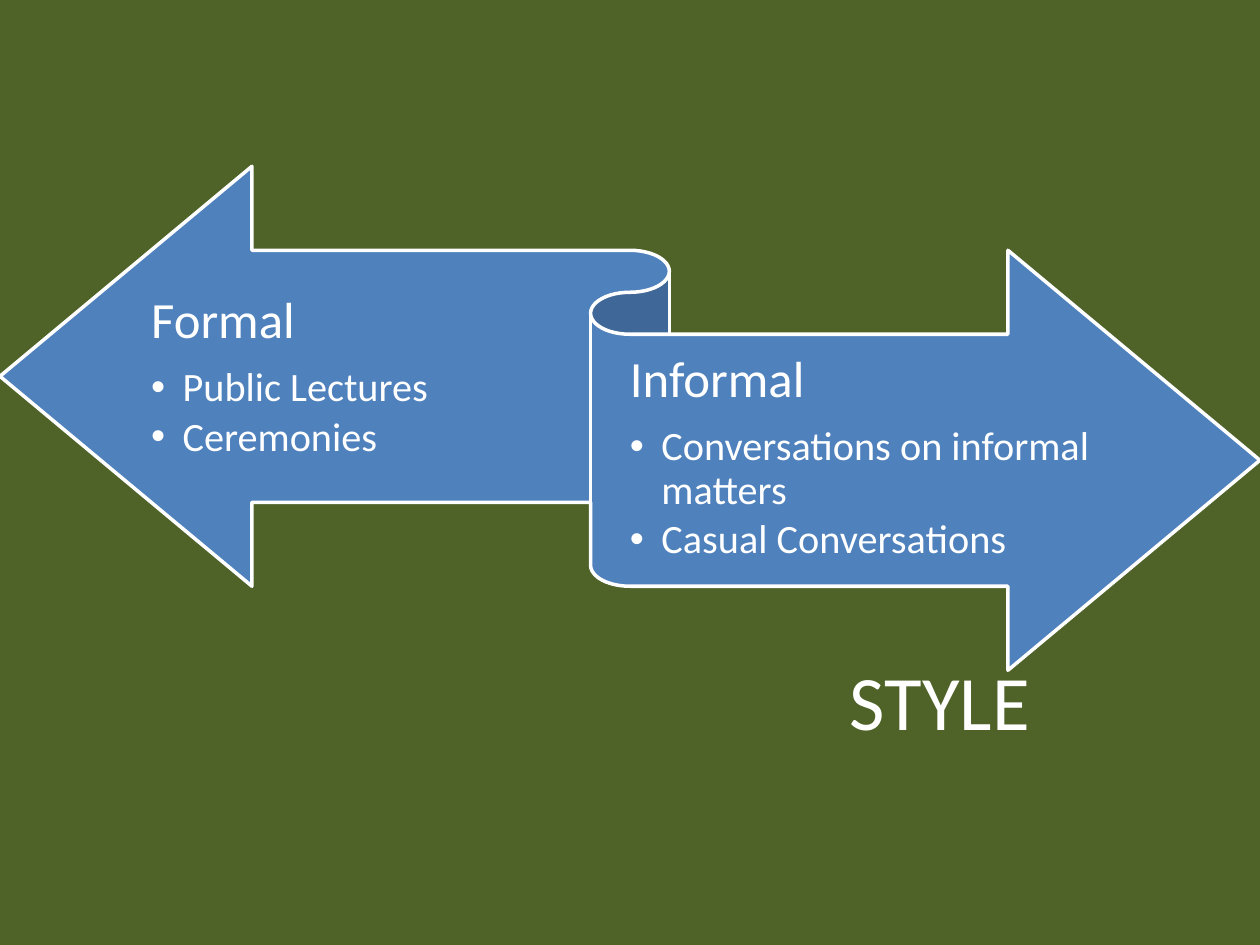
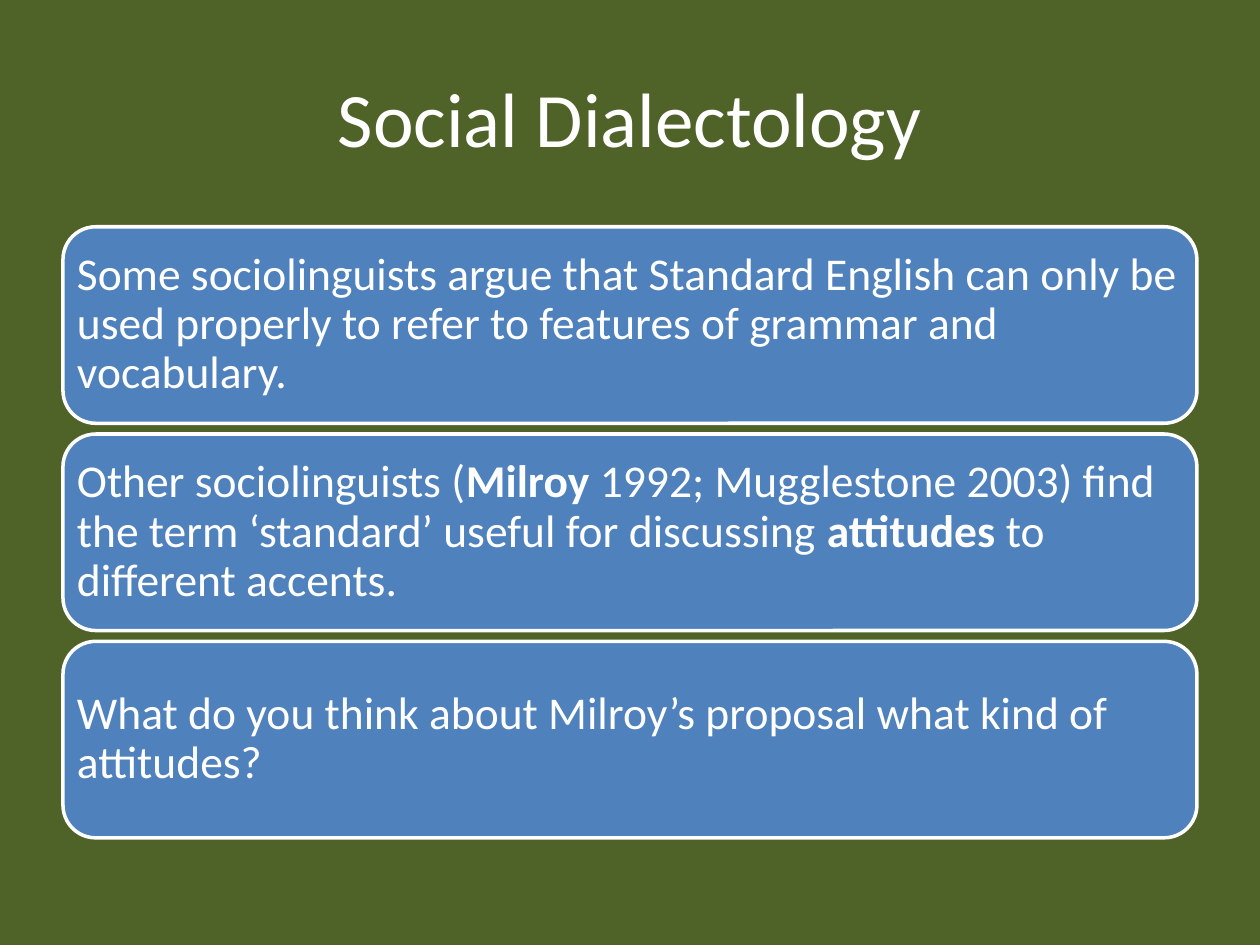
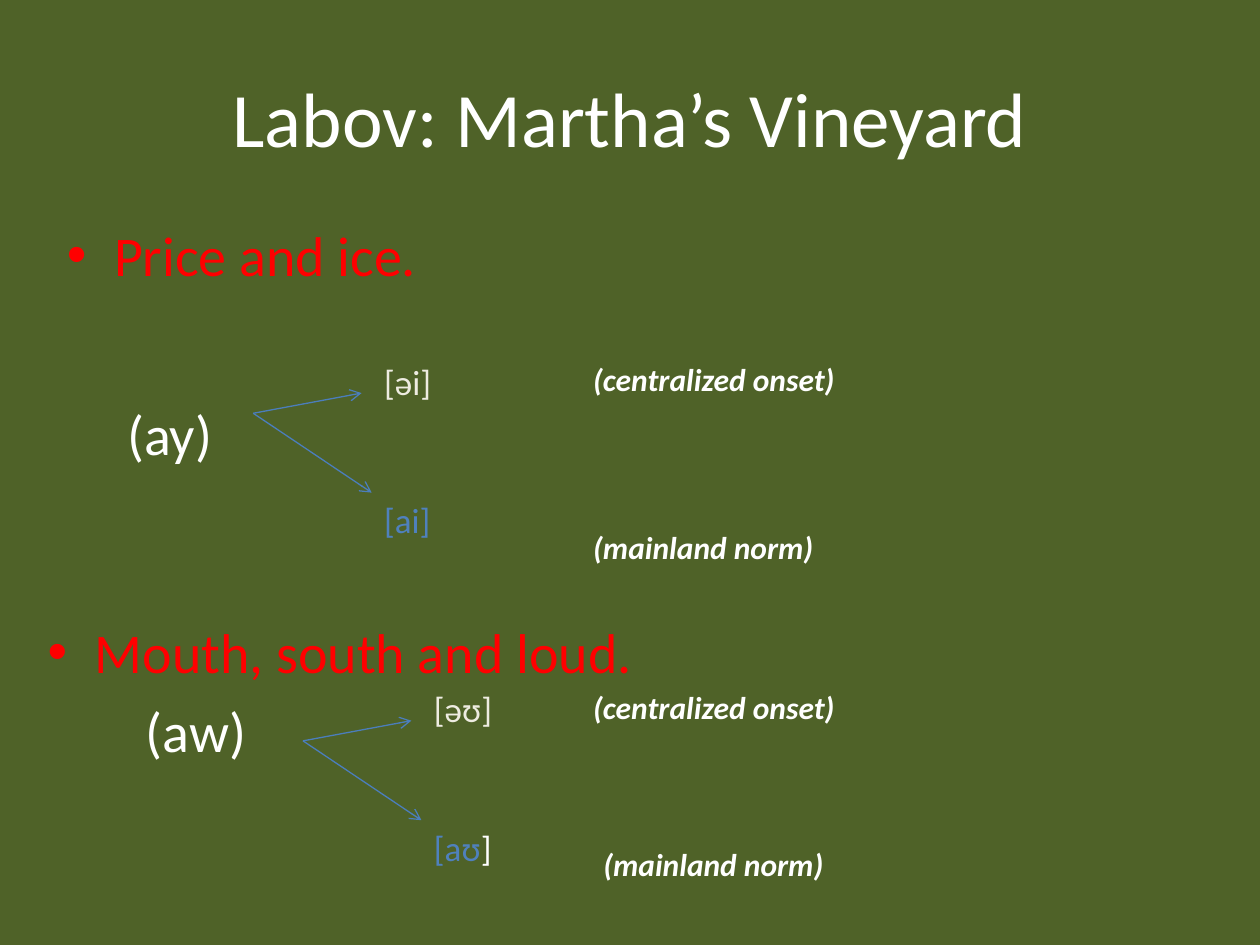
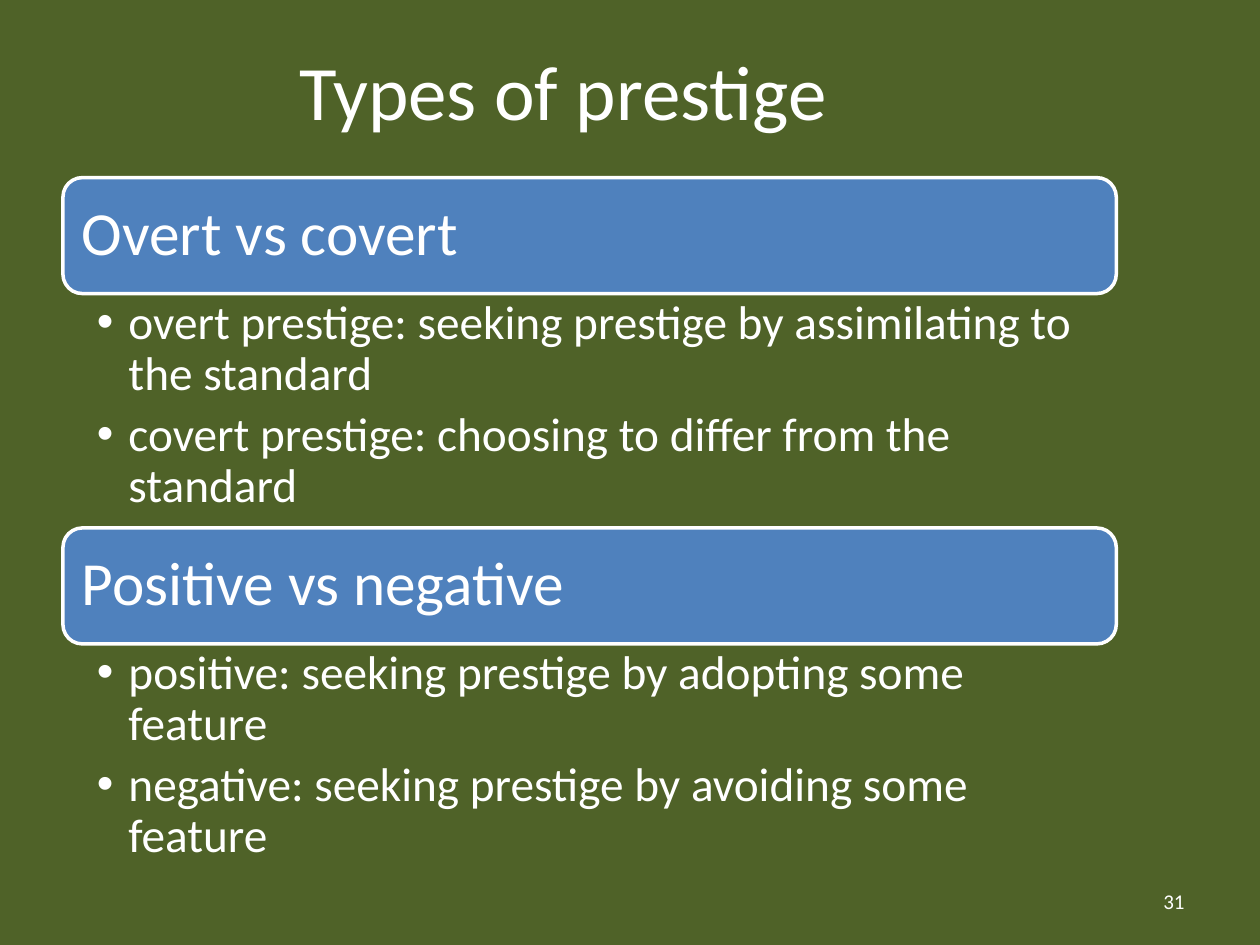
from dataclasses import dataclass
from typing import Sequence

from lxml import etree
from pptx import Presentation
from pptx.dml.color import RGBColor
from pptx.enum.shapes import MSO_CONNECTOR, MSO_SHAPE
from pptx.enum.text import MSO_ANCHOR, PP_ALIGN
from pptx.oxml.ns import qn
from pptx.util import Inches, Pt

# Shared colours, font and enum members
OLIVE = RGBColor(0x4F, 0x62, 0x28)
BLUE = RGBColor(0x4F, 0x81, 0xBD)
ARROW_BLUE = RGBColor(0x4B, 0x7E, 0xBC)
WHITE = RGBColor(0xFF, 0xFF, 0xFF)
CREAM = RGBColor(0xEE, 0xEC, 0xE1)
RED = RGBColor(0xFF, 0x00, 0x00)
FONT = "Calibri"

ROUNDED = MSO_SHAPE.ROUNDED_RECTANGLE
RIBBON = MSO_SHAPE.LEFT_RIGHT_RIBBON
STRAIGHT = MSO_CONNECTOR.STRAIGHT
LEFT, CENTER, RIGHT = PP_ALIGN.LEFT, PP_ALIGN.CENTER, PP_ALIGN.RIGHT
TOP, MIDDLE = MSO_ANCHOR.TOP, MSO_ANCHOR.MIDDLE

# The page is a grid of 100 columns by 75 rows
SLIDE_WIDTH, SLIDE_HEIGHT = Inches(10), Inches(7.5)
COLUMN, ROW = SLIDE_WIDTH / 100, SLIDE_HEIGHT / 75
LAYOUT_BODY, LAYOUT_TITLE = 1, 5
# A rounded rectangle insets its text by this share of its height
CORNER_INSET = 0.29 / 6


@dataclass(frozen=True)
class Area:
    left: float
    top: float
    width: float
    height: float

    def emu(self) -> tuple[int, int, int, int]:
        return (round(self.left * COLUMN), round(self.top * ROW),
                round(self.width * COLUMN), round(self.height * ROW))


@dataclass(frozen=True)
class Span:
    text: str
    color: RGBColor = WHITE
    bold: bool = False
    italic: bool = False


@dataclass(frozen=True)
class Style:
    size: float
    align: PP_ALIGN = LEFT
    line: float = 1.0
    before: float = 0  # share of the text size
    after: float = 0  # share of the text size
    hang: float = 0  # bullet indent in columns, 0 for no bullet


@dataclass(frozen=True)
class Topic:
    heading: str
    points: tuple[str, ...]
    area: Area


@dataclass(frozen=True)
class Variable:
    name: str
    name_area: Area
    fork: tuple[float, float]
    high: tuple[Span, ...]
    low: tuple[Span, ...]
    form_width: float
    norm_left: float
    norm_top: float


TITLE = Style(44, CENTER)
TITLE_AREA = Area(5, 3, 90, 12.5)
EXAMPLE = Style(32, before=0.2, hang=3.75)


# Text helpers
def write(para, spans: Sequence[Span], style: Style) -> None:
    para.alignment = style.align
    para.line_spacing = style.line
    para.space_before = Pt(style.size * style.before)
    para.space_after = Pt(style.size * style.after)
    for span in spans:
        run = para.add_run()
        run.text = span.text
        font = run.font
        font.name, font.size = FONT, Pt(style.size)
        font.bold, font.italic = span.bold, span.italic
        font.color.rgb = span.color
    if style.hang:
        add_bullet(para, style.hang)


def add_bullet(para, hang: float) -> None:
    props = para._p.get_or_add_pPr()
    indent = round(hang * COLUMN)
    props.set("marL", str(indent))
    props.set("indent", str(-indent))
    etree.SubElement(props, qn("a:buFont")).set("typeface", "Arial")
    etree.SubElement(props, qn("a:buChar")).set("char", "•")


def set_frame(frame, insets: Sequence[float], anchor: MSO_ANCHOR, wrap: bool = True) -> None:
    frame.word_wrap, frame.vertical_anchor = wrap, anchor
    left, top, right, bottom = insets
    frame.margin_left, frame.margin_right = round(left * COLUMN), round(right * COLUMN)
    frame.margin_top, frame.margin_bottom = round(top * ROW), round(bottom * ROW)


def add_text(page, area: Area, paras: Sequence[tuple[Sequence[Span], Style]],
             insets: Sequence[float] = (1, 0.5, 1, 0.5),
             anchor: MSO_ANCHOR = TOP, wrap: bool = True) -> None:
    frame = page.shapes.add_textbox(*area.emu()).text_frame
    set_frame(frame, insets, anchor, wrap)
    for index, (spans, style) in enumerate(paras):
        write(frame.paragraphs[0] if index == 0 else frame.add_paragraph(), spans, style)


def place(holder, area: Area) -> None:
    holder.left, holder.top, holder.width, holder.height = area.emu()


# Page and shape helpers
def add_page(deck, title: str, area: Area = TITLE_AREA, layout: int = LAYOUT_TITLE):
    page = deck.slides.add_slide(deck.slide_layouts[layout])
    place(page.shapes.title, area)
    write(page.shapes.title.text_frame.paragraphs[0], [Span(title)], TITLE)
    return page


def add_panel(page, kind: MSO_SHAPE, area: Area):
    panel = page.shapes.add_shape(kind, *area.emu())
    panel.shadow.inherit = False
    panel.fill.solid()
    panel.fill.fore_color.rgb = BLUE
    panel.line.color.rgb = WHITE
    panel.line.width = Pt(2)
    return panel


def add_card(page, area: Area, spans: Sequence[Span], size: float, inset: float) -> None:
    frame = add_panel(page, ROUNDED, area).text_frame
    set_frame(frame, [inset - CORNER_INSET * area.height] * 4, MIDDLE)
    write(frame.paragraphs[0], spans, Style(size, line=0.9, after=0.35))


def add_arrow(page, start: tuple[float, float], end: tuple[float, float]) -> None:
    arrow = page.shapes.add_connector(
        STRAIGHT, round(start[0] * COLUMN), round(start[1] * ROW),
        round(end[0] * COLUMN), round(end[1] * ROW))
    arrow.line.color.rgb = ARROW_BLUE
    arrow.line.width = Pt(0.75)
    etree.SubElement(arrow.line._get_or_add_ln(), qn("a:tailEnd")).set("type", "arrow")
    etree.SubElement(arrow._element.spPr, qn("a:effectLst"))


# Slide 1: two styles on a ribbon
def build_style(deck) -> None:
    page = add_page(deck, "STYLE", Area(35, 49.3, 79.2, 12.5))
    add_panel(page, RIBBON, Area(0, 13.2, 100, 40))
    heading = Style(29, line=0.9, after=0.35)
    bullet = Style(23, line=0.9, after=0.15, hang=2.5)
    topics = (
        Topic("Formal", ("Public Lectures", "Ceremonies"), Area(12, 20.2, 33, 19.6)),
        Topic("Informal", ("Conversations on informal matters", "Casual Conversations"),
              Area(50, 26.6, 39, 19.6)),
    )
    for topic in topics:
        paras = [([Span(topic.heading)], heading)]
        paras += [([Span(point)], bullet) for point in topic.points]
        add_text(page, topic.area, paras, (0, 1.1, 0, 1.2), MIDDLE)


# Slide 2: three statements in equal cards
def build_dialectology(deck) -> None:
    page = add_page(deck, "Social Dialectology")
    statements = (
        [Span("Some sociolinguists argue that Standard English can only be used properly "
              "to refer to features of grammar and vocabulary.")],
        [Span("Other sociolinguists ("), Span("Milroy", bold=True),
         Span(" 1992; Mugglestone 2003) find the term ‘standard’ useful for discussing "),
         Span("attitudes", bold=True), Span(" to different accents.")],
        [Span("What do you think about Milroy’s proposal what kind of attitudes?")],
    )
    for index, spans in enumerate(statements):
        add_card(page, Area(5, 18 + index * 16.45, 90, 15.6), spans, 26, 1.1)


# Slide 3: two sound variables, each with a fork of two forms
def add_variable(page, variable: Variable) -> None:
    x, y = variable.fork
    high_top, low_top = y - 4.7, y + 6.3
    form_left = x + 9.4

    def label(area: Area, spans: Sequence[Span], size: float) -> None:
        add_text(page, area, [(spans, Style(size))], wrap=False)

    def gloss(left: float, top: float, width: float, text: str) -> None:
        label(Area(left, top, width, 4), [Span(text, bold=True, italic=True)], 18)

    label(variable.name_area, [Span(variable.name)], 32)
    label(Area(form_left, high_top, variable.form_width, 4.4), variable.high, 20)
    label(Area(form_left, low_top, variable.form_width, 4.4), variable.low, 20)
    add_arrow(page, variable.fork, (x + 8.6, y - 1.6))
    add_arrow(page, variable.fork, (form_left, low_top))
    gloss(46.1, high_top, 21.4, "(centralized onset)")
    gloss(variable.norm_left, variable.norm_top, 19.6, "(mainland norm)")


def build_vineyard(deck) -> None:
    page = add_page(deck, "Labov: Martha’s Vineyard", layout=LAYOUT_BODY)
    body = page.placeholders[1]
    place(body, Area(4.3, 17, 90, 5.8))
    write(body.text_frame.paragraphs[0], [Span("Price and ice.", RED)], EXAMPLE)
    add_text(page, Area(2.8, 48.5, 90, 5.8),
             [([Span("Mouth, south and loud.", RED)], EXAMPLE)])
    variables = (
        Variable("(ay)", Area(9.1, 31.2, 8.9, 6.4), (20.1, 32.8),
                 (Span("[əi]", CREAM),), (Span("[ai]", BLUE),), 5.8, 46.1, 41.4),
        Variable("(aw)", Area(10.6, 54.8, 10.1, 6.4), (24.05, 58.8),
                 (Span("[əʊ]", CREAM),), (Span("[aʊ", BLUE), Span("]")), 6.7, 46.9, 66.6),
    )
    for variable in variables:
        add_variable(page, variable)


# Slide 4: headed lists and the page number
def build_prestige(deck) -> None:
    page = add_page(deck, "Types of prestige", Area(5.1, 2.9, 79.2, 8.4))
    bullet = Style(27, line=0.9, after=0.2, hang=2.5)
    topics = (
        Topic("Overt vs covert",
              ("overt prestige: seeking prestige by assimilating to the standard",
               "covert prestige: choosing to differ from the standard"),
              Area(5, 23.2, 83.6, 18.6)),
        Topic("Positive vs negative",
              ("positive: seeking prestige by adopting some feature",
               "negative: seeking prestige by avoiding some feature"),
              Area(5, 51, 83.6, 23.8)),
    )
    for topic in topics:
        area = topic.area
        add_card(page, Area(area.left, area.top - 9.1, area.width, 9.2),
                 [Span(topic.heading)], 35, 1.5)
        add_text(page, area, [([Span(point)], bullet) for point in topic.points],
                 (2.7, 0.5, 2.7, 0.5))
    add_text(page, Area(71.7, 69.5, 23.3, 4), [([Span("31")], Style(12, RIGHT))],
             anchor=MIDDLE)


def main() -> None:
    deck = Presentation()
    deck.slide_width, deck.slide_height = SLIDE_WIDTH, SLIDE_HEIGHT
    background = deck.slide_master.background.fill
    background.solid()
    background.fore_color.rgb = OLIVE
    for build in (build_style, build_dialectology, build_vineyard, build_prestige):
        build(deck)
    deck.save("out.pptx")


if __name__ == "__main__":
    main()
